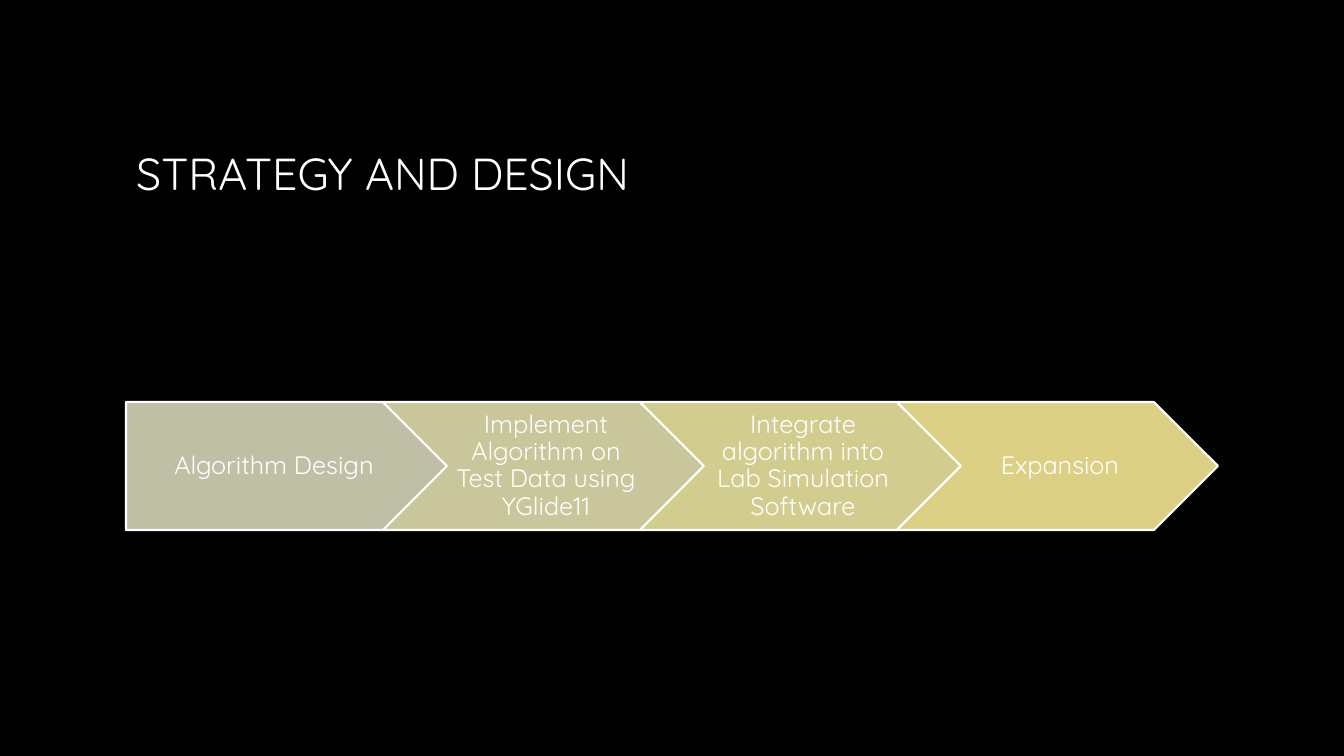
from pptx import Presentation
from pptx import util as u
from pptx.dml.color import RGBColor
from pptx.enum import shapes, text

EMU_PER_PX = 914400 / 100.8
FONT = "Quicksand"
COLORS = {
    "background": "000000",
    "text": "FFFFFF",
    "outline": "FFFFFF",
    "design": "BFBFA5",
    "implement": "C8C69A",
    "integrate": "D2CC8F",
    "expand": "DCD084",
}
STEPS = [
    ("design", "Algorithm Design"),
    ("implement", "Implement Algorithm on Test Data using YGlide11"),
    ("integrate", "Integrate algorithm into Lab Simulation Software"),
    ("expand", "Expansion"),
]
STEP_LEFT, STEP_TOP, STEP_WIDTH, STEP_HEIGHT, STEP_PITCH = 126, 402, 321, 128, 257


def px(n):
    return u.Emu(round(n * EMU_PER_PX))


def color(name):
    return RGBColor.from_string(COLORS[name])


def apply(target, formats):
    for name, value in formats.items():
        setattr(target, name, value)


def write(sp, content, size, frame, paragraph):
    tf = sp.text_frame
    apply(tf, {"word_wrap": True, "vertical_anchor": text.MSO_ANCHOR.MIDDLE, **frame})
    p = tf.paragraphs[0]
    apply(p, paragraph)
    r = p.add_run()
    r.text = content
    apply(r.font, {"name": FONT, "size": u.Pt(size), "bold": False})
    r.font.color.rgb = color("text")


def add_title(s, content):
    sp = s.shapes.title
    apply(sp, {"left": px(126), "top": px(68), "width": px(1092), "height": px(210)})
    write(sp, content, 32, {}, {"alignment": text.PP_ALIGN.LEFT})


def add_step(s, index, fill, content):
    first = index == 0
    kind = shapes.MSO_SHAPE.PENTAGON if first else shapes.MSO_SHAPE.CHEVRON
    sp = s.shapes.add_shape(
        kind, px(STEP_LEFT + index * STEP_PITCH), px(STEP_TOP),
        px(STEP_WIDTH), px(STEP_HEIGHT),
    )
    sp.shadow.inherit = False
    sp.fill.solid()
    sp.fill.fore_color.rgb = color(fill)
    sp.line.color.rgb = color("outline")
    sp.line.width = u.Pt(1.5)
    frame = {
        "margin_left": px(10 if first else 8),
        "margin_top": px(5),
        "margin_right": px(3),
        "margin_bottom": px(5),
    }
    write(sp, content, 18, frame,
          {"alignment": text.PP_ALIGN.CENTER, "line_spacing": 0.9})


def main():
    prs = Presentation()
    apply(prs, {"slide_width": px(1344), "slide_height": px(756)})
    s = prs.slides.add_slide(prs.slide_layouts[5])
    s.background.fill.solid()
    s.background.fill.fore_color.rgb = color("background")
    add_title(s, "STRATEGY AND DESIGN")
    for index, (fill, content) in enumerate(STEPS):
        add_step(s, index, fill, content)
    prs.save("out.pptx")


if __name__ == "__main__":
    main()
